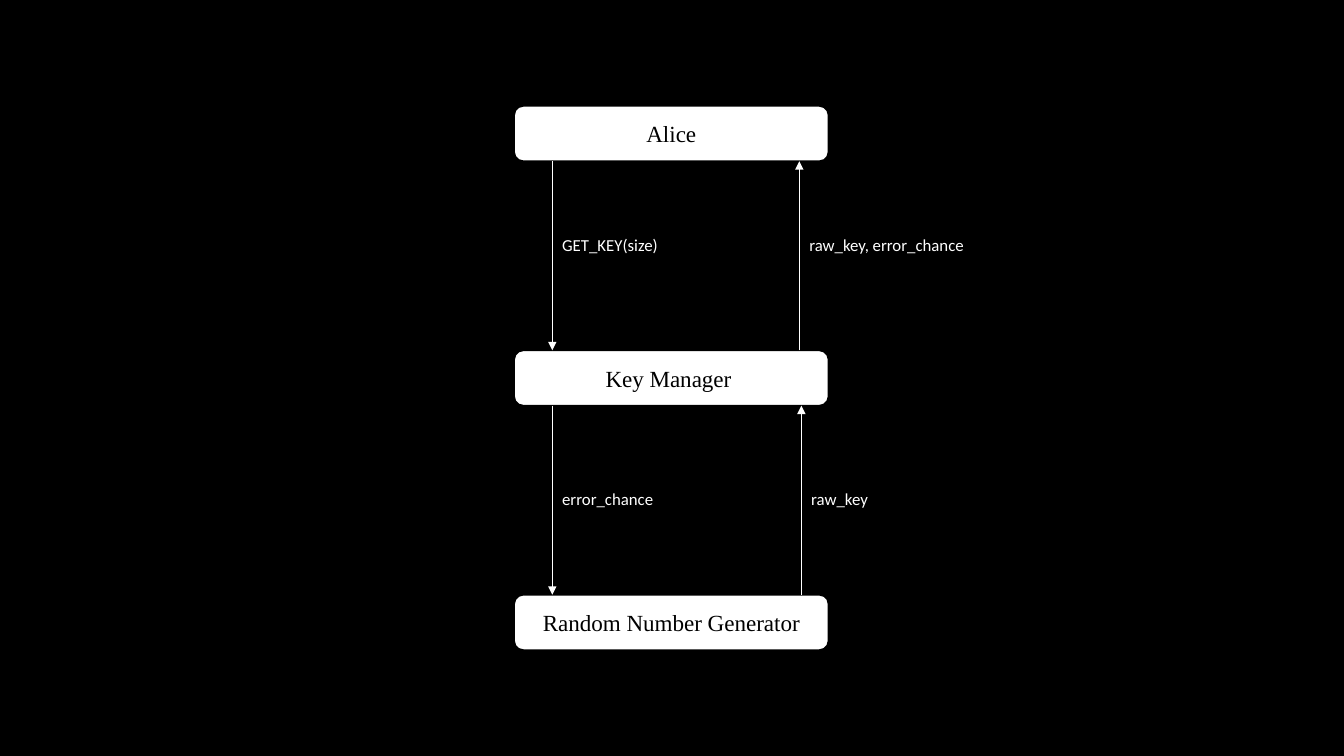
from lxml import etree
from pptx import Presentation
from pptx.dml.color import RGBColor
from pptx.enum import shapes, text
from pptx.oxml.ns import qn
from pptx.util import Pt


def color(fmt, value):
    if hasattr(fmt, "solid"):
        fmt.solid()
        fmt = fmt.fore_color
    else:
        fmt = fmt.color
    fmt.rgb = RGBColor.from_string(value)


BLACK, WHITE = "000000", "FFFFFF"
BOX_LEFT, BOX_TOP, BOX_W, BOX_H = 367.2, 75.6, 224.64, 39.6
PITCH = 174.6

prs = Presentation()
prs.slide_width, prs.slide_height = Pt(960), Pt(540)
s = prs.slides.add_slide(prs.slide_layouts[6])
color(s.background.fill, BLACK)

# Boxes, stacked at an equal pitch
for i, name in enumerate(["Alice", "Key Manager ", "Random Number Generator"]):
    sp = s.shapes.add_shape(shapes.MSO_SHAPE.ROUNDED_RECTANGLE, Pt(BOX_LEFT),
                            Pt(BOX_TOP + i * PITCH), Pt(BOX_W), Pt(BOX_H))
    sp.shadow.inherit = False
    color(sp.fill, WHITE)
    color(sp.line.fill, BLACK)
    sp.line.width = Pt(1.25)
    tf = sp.text_frame
    tf.vertical_anchor = text.MSO_ANCHOR.MIDDLE
    p = tf.paragraphs[0]
    p.text = name
    p.alignment = text.PP_ALIGN.CENTER
    p.font.name, p.font.size = "Times New Roman", Pt(16.5)
    color(p.font, BLACK)

# Messages: gap number, x, upward or not, label, label top, label width
messages = [
    (0, 394.5, False, "GET_KEY(size)", 164.2, 100),
    (0, 571, True, "raw_key, error_chance", 164.2, 129.6),
    (1, 394.5, False, "error_chance", 345.6, 81.4),
    (1, 572.4, True, "raw_key", 345.6, 57.6),
]
for gap, x, upward, label, label_top, label_w in messages:
    # Arrow across the gap between two boxes
    start = BOX_TOP + BOX_H + gap * PITCH
    end = BOX_TOP + (gap + 1) * PITCH
    if upward:
        start, end = end, start
    line = s.shapes.add_connector(shapes.MSO_CONNECTOR.STRAIGHT,
                                  Pt(x), Pt(start), Pt(x), Pt(end))
    color(line.line.fill, WHITE)
    line.line.width = Pt(0.75)
    etree.SubElement(line.line._get_or_add_ln(), qn("a:tailEnd"), type="triangle")
    etree.SubElement(line._element.spPr, qn("a:effectLst"))

    # Label to the right of the arrow
    tf = s.shapes.add_textbox(Pt(x), Pt(label_top), Pt(label_w), Pt(21.6)).text_frame
    tf.word_wrap = False
    tf.auto_size = text.MSO_AUTO_SIZE.SHAPE_TO_FIT_TEXT
    p = tf.paragraphs[0]
    p.text = label
    p.font.name, p.font.size = "Calibri", Pt(12)
    color(p.font, WHITE)

prs.save("out.pptx")
